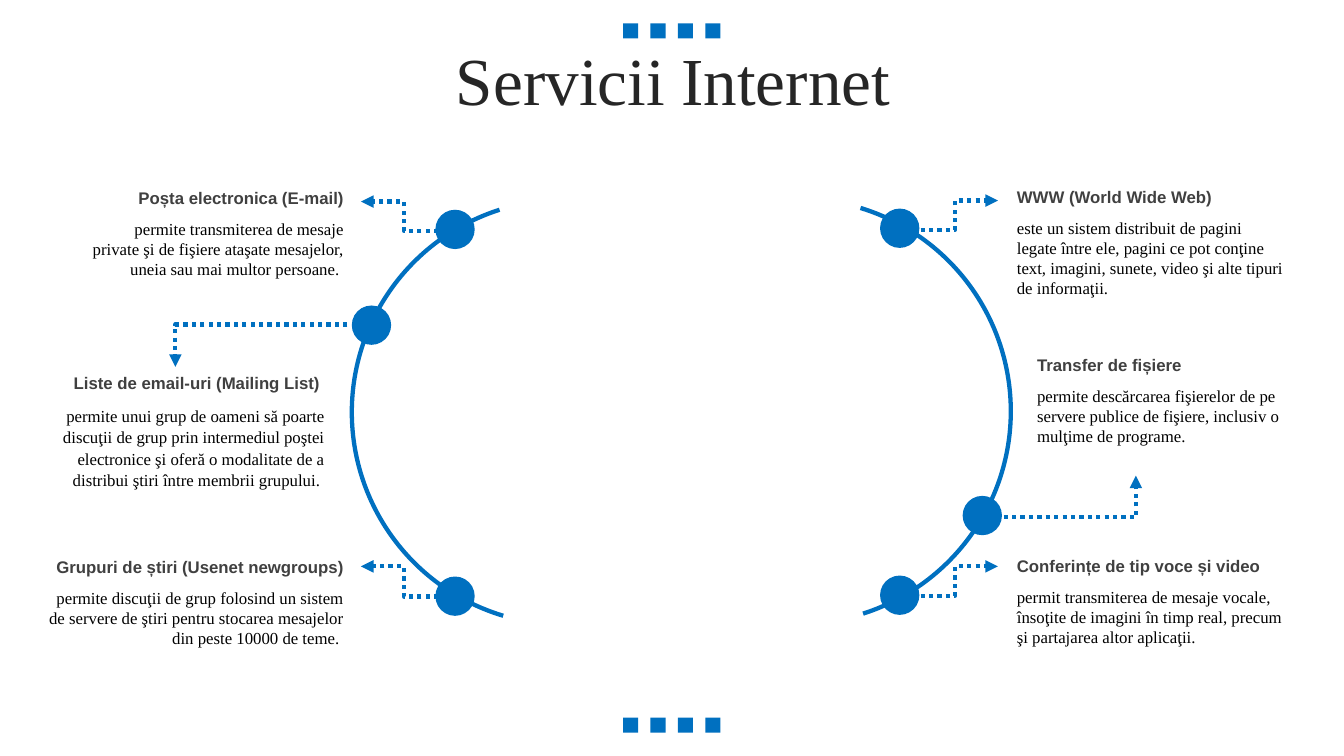
"""Build the slide on Internet services: two arcs with dots, arrows and notes."""
from lxml.etree import SubElement
from pptx import Presentation
from pptx.dml.color import RGBColor
from pptx.enum.dml import MSO_LINE as Dash
from pptx.enum.shapes import MSO_CONNECTOR as Link, MSO_SHAPE as Form
from pptx.enum.text import MSO_ANCHOR as Anchor, PP_ALIGN as Align
from pptx.oxml.ns import qn
from pptx.util import Pt

BLUE = "0070C0"
TITLE = {"name": "Times New Roman", "size": Pt(48), "bold": False}
HEAD = {"name": "Arial", "size": Pt(12), "bold": True}
BODY = {"name": "Times New Roman", "size": Pt(12), "bold": False}


def write(frame, text, fmt, color, align):
    """Fill a text frame with one formatted paragraph."""
    frame.word_wrap = True
    para = frame.paragraphs[0]
    para.alignment = align
    run = para.add_run()
    run.text = text
    for key, value in fmt.items():
        setattr(run.font, key, value)
    run.font.color.rgb = RGBColor.from_string(color)
    return para


def draw(form, left, top, width, height):
    """Add a plain blue shape."""
    shape = shapes.add_shape(form, Pt(left), Pt(top), Pt(width), Pt(height))
    shape.shadow.inherit = False
    shape.fill.solid()
    shape.fill.fore_color.rgb = RGBColor.from_string(BLUE)
    shape.line.fill.background()
    return shape


deck = Presentation()
deck.slide_width, deck.slide_height = Pt(960), Pt(540)
slide = deck.slides.add_slide(deck.slide_layouts[5])
shapes = slide.shapes

for top in (16.6, 512.6):
    for col in range(4):
        draw(Form.RECTANGLE, 445 + 19.6 * col, top, 10.8, 10.8)

title = shapes.title
title.left, title.top, title.width, title.height = Pt(25.2), Pt(31.7), Pt(911.5), Pt(56.9)
title.text_frame.vertical_anchor = Anchor.MIDDLE
para = write(title.text_frame, "Servicii Internet", TITLE, "262626", Align.CENTER)
para.line_spacing = 0.9
para.space_before = Pt(10)

arcs = [(416.9, 140.4, 287.02, 72.25), (249.8, 141.1, 106.71, 252.25)]
for left, top, start, end in arcs:
    arc = draw(Form.BLOCK_ARC, left, top, 306.7, 306.7)
    for spot, value in enumerate((start * 0.6, end * 0.6, 0.01)):
        arc.adjustments[spot] = value

notes = [
    (Align.LEFT, 719.3, 129.6, 204.5, 204.5, 80, "WWW (World Wide Web)",
     "este un sistem distribuit de pagini legate între ele, pagini ce pot conţine "
     "text, imagini, sunete, video şi alte tipuri de informaţii."),
    (Align.LEFT, 733.7, 249.8, 195.1, 195.1, 51, "Transfer de fișiere",
     "permite descărcarea fişierelor de pe servere publice de fişiere, inclusiv o "
     "mulţime de programe."),
    (Align.LEFT, 719.3, 393.1, 204.5, 204.5, 51, "Conferințe de tip voce și video",
     "permit transmiterea de mesaje vocale, însoţite de imagini în timp real, precum "
     "şi partajarea altor aplicaţii."),
    (Align.RIGHT, 252.7, 130.3, 198, 198, 65.5, "Poșta electronica (E-mail)",
     "permite transmiterea de mesaje private şi de fişiere ataşate mesajelor, uneia "
     "sau mai multor persoane. "),
    (Align.RIGHT, 239, 262.8, 198, 225.4, 68.4, "Liste de email-uri (Mailing List) ",
     "permite unui grup de oameni să poarte discuţii de grup prin intermediul poştei "
     "electronice şi oferă o modalitate de a distribui ştiri între membrii grupului. "),
    (Align.RIGHT, 252.7, 393.8, 239, 227.5, 65.5, "Grupuri de știri (Usenet newgroups)",
     "permite discuţii de grup folosind un sistem de servere de ştiri pentru stocarea "
     "mesajelor din peste 10000 de teme. "),
]
for align, edge, top, wide, span, tall, head, body in notes:
    rows = [(top, wide, 21.8, head, HEAD, "404040"),
            (top + 22.1, span, tall, body, BODY, "000000")]
    for y, width, height, text, fmt, color in rows:
        left = edge - width if align == Align.RIGHT else edge
        box = shapes.add_textbox(Pt(left), Pt(y), Pt(width), Pt(height))
        para = write(box.text_frame, text, fmt, color, align)
        if text.startswith("permite unui"):
            para.line_spacing = 1.07
            para.space_after = Pt(8)

arrows = [
    ("bentConnector3", 651.6, 425.5, 712.8, 404.6),
    ("bentConnector2", 704.9, 369.4, 811.4, 339.8),
    ("bentConnector3", 651.6, 164.2, 712.8, 143.3),
    ("bentConnector2", 254.2, 231.8, 125.3, 262.1),
    ("bentConnector3", 319, 426.2, 257.8, 404.6),
    ("bentConnector3", 319, 164.9, 257.8, 144),
]
for kind, *ends in arrows:
    arrow = shapes.add_connector(Link.ELBOW, *map(Pt, ends))
    arrow.line.color.rgb = RGBColor.from_string(BLUE)
    arrow.line.width = Pt(3)
    arrow.line.dash_style = Dash.ROUND_DOT
    props = arrow.element.spPr
    props.find(qn("a:prstGeom")).set("prst", kind)
    SubElement(props.find(qn("a:ln")), qn("a:tailEnd")).set("type", "triangle")
    SubElement(props, qn("a:effectLst"))

dots = [(628.6, 411.1), (628.6, 149), (687.6, 354.2),
        (311, 149.8), (251.3, 218.2), (311, 411.8)]
for left, top in dots:
    draw(Form.OVAL, left, top, 28.1, 28.1)

deck.save("out.pptx")
